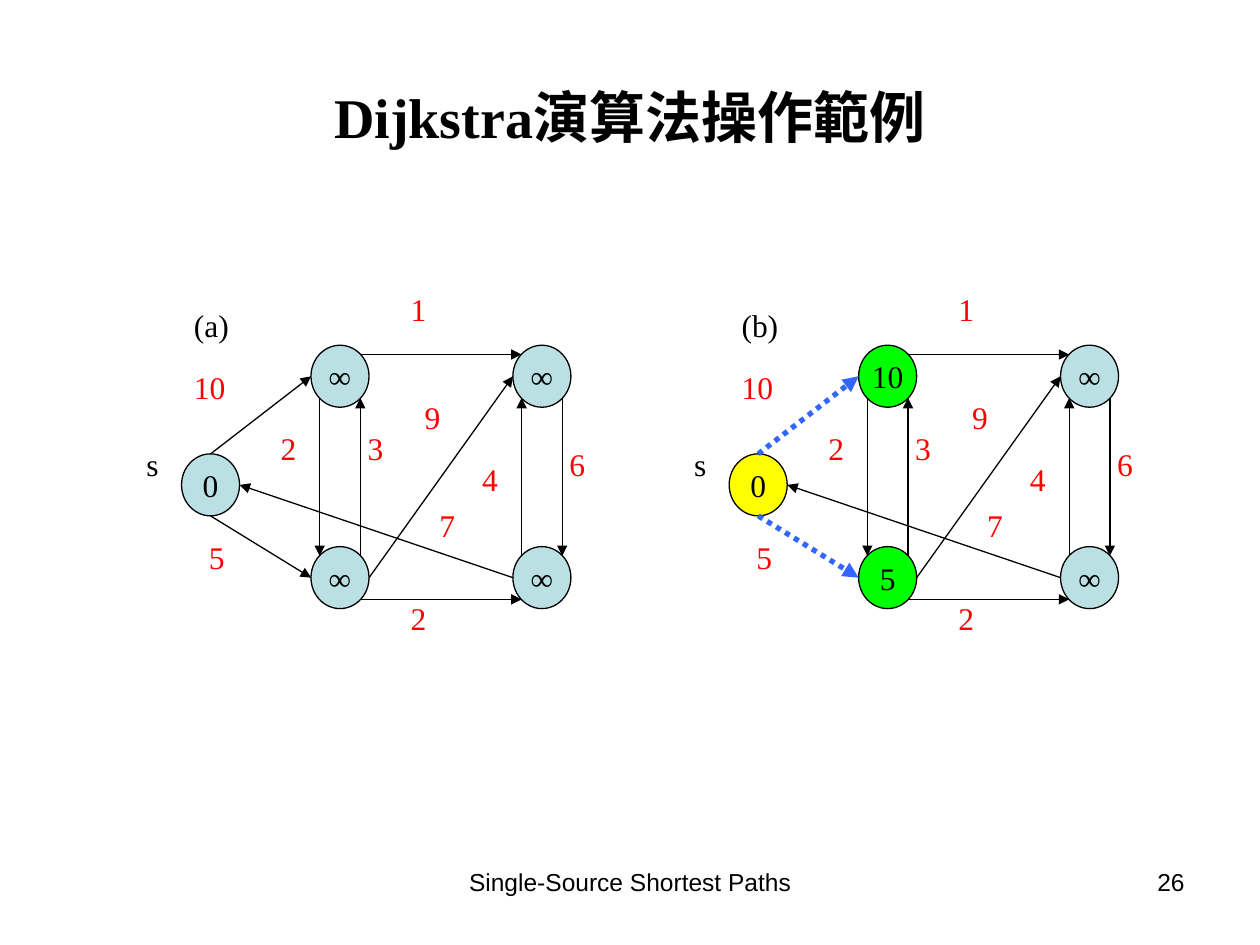
from lxml import etree
from pptx import Presentation
from pptx.dml.color import RGBColor
from pptx.enum.dml import MSO_LINE
from pptx.enum.shapes import MSO_CONNECTOR, MSO_SHAPE
from pptx.enum.text import MSO_ANCHOR, MSO_AUTO_SIZE, PP_ALIGN
from pptx.oxml.ns import qn
from pptx.util import Cm, Pt

LEFT, CENTER, RIGHT = PP_ALIGN.LEFT, PP_ALIGN.CENTER, PP_ALIGN.RIGHT
MIDDLE = MSO_ANCHOR.MIDDLE
NO_FIT = MSO_AUTO_SIZE.NONE
DOTTED = MSO_LINE.ROUND_DOT
OVAL = MSO_SHAPE.OVAL
STRAIGHT = MSO_CONNECTOR.STRAIGHT

COLORS = {
    "black": "000000",
    "weight": "FF0000",
    "route": "3366FF",
    "waiting": "BBE0E3",
    "source": "FFFF00",
    "reached": "00FF00",
}

# Graph layout in cm, measured for the first panel
PANEL_STEP = 11.04
NODE_W, NODE_H = 1.17, 1.25
COLUMNS, ROWS = (6.27, 10.34), (6.96, 11.02)
NODES = {
    "s": (3.66, 9.15),
    "t": (COLUMNS[0], ROWS[0]),
    "x": (COLUMNS[1], ROWS[0]),
    "y": (COLUMNS[0], ROWS[1]),
    "z": (COLUMNS[1], ROWS[1]),
}

# Points on a node's rim, as fractions of its width and height
SITES = {
    "n": (0.5, 0), "s": (0.5, 1), "w": (0, 0.5), "e": (1, 0.5),
    "nw": (0.15, 0.15), "ne": (0.85, 0.15),
    "sw": (0.15, 0.85), "se": (0.85, 0.85),
}

# Start node, start site, end node, end site, weight, weight position
EDGES = [
    ("s", "n", "t", "w", "10", (3.66, 7.29)),
    ("s", "s", "y", "w", "5", (3.96, 10.72)),
    ("t", "ne", "x", "nw", "1", (8.03, 5.72)),
    ("y", "se", "z", "sw", "2", (8.03, 11.96)),
    ("t", "sw", "y", "nw", "2", (5.41, 8.53)),
    ("y", "ne", "t", "se", "3", (7.16, 8.53)),
    ("x", "se", "z", "ne", "6", (11.23, 8.84)),
    ("z", "nw", "x", "sw", "4", (9.47, 9.14)),
    ("z", "w", "s", "e", "7", (8.61, 10.08)),
    ("y", "e", "x", "w", "9", (8.31, 7.9)),
]

# Caption, (distance, state) of each node, and edges on the current routes
PANELS = [
    ("(a)", {"s": ("0", "waiting")}, set()),
    ("(b)", {"s": ("0", "source"), "t": ("10", "reached"), "y": ("5", "reached")},
     {("s", "t"), ("s", "y")}),
]


def rgb(name):
    return RGBColor.from_string(COLORS[name])


class GraphSlide:
    font = "Times New Roman"
    size = 18

    def __init__(self, slide):
        self.slide = slide

    def set_text(self, frame, text, color="black", align=LEFT, size=None, font=None, bold=False):
        frame.text = text
        paragraph = frame.paragraphs[0]
        paragraph.alignment = align
        paragraph.font.name = font or self.font
        paragraph.font.size = Pt(size or self.size)
        paragraph.font.bold = bold
        paragraph.font.color.rgb = rgb(color)

    def title(self, text):
        heading = self.slide.shapes.title
        heading.left, heading.top = Cm(1.27), Cm(0.76)
        heading.width, heading.height = Cm(22.86), Cm(3.18)
        heading.text_frame.auto_size = NO_FIT
        heading.text_frame.vertical_anchor = MIDDLE
        self.set_text(heading.text_frame, text, align=CENTER, size=32, bold=True)

    def label(self, text, x, y, w=2.03, h=1.02, **style):
        frame = self.slide.shapes.add_textbox(Cm(x), Cm(y), Cm(w), Cm(h)).text_frame
        frame.word_wrap = True
        self.set_text(frame, text, **style)

    def node(self, text, x, y, state):
        circle = self.slide.shapes.add_shape(OVAL, Cm(x), Cm(y), Cm(NODE_W), Cm(NODE_H))
        circle.shadow.inherit = False
        circle.fill.solid()
        circle.fill.fore_color.rgb = rgb(state)
        circle.line.color.rgb = rgb("black")
        circle.line.width = Pt(0.75)
        circle.text_frame.word_wrap = False
        circle.text_frame.vertical_anchor = MIDDLE
        self.set_text(circle.text_frame, text, align=CENTER)

    def arrow(self, start, end, on_route):
        edge = self.slide.shapes.add_connector(STRAIGHT, *map(Cm, start + end))
        edge.line.color.rgb = rgb("route" if on_route else "black")
        edge.line.width = Pt(3 if on_route else 0.75)
        if on_route:
            edge.line.dash_style = DOTTED
        properties = edge._element.spPr
        etree.SubElement(properties.find(qn("a:ln")), qn("a:tailEnd"), type="triangle")
        etree.SubElement(properties, qn("a:effectLst"))

    def panel(self, caption, distances, routes, shift):
        def rim(node, site):
            (x, y), (across, down) = NODES[node], SITES[site]
            return (x + shift + across * NODE_W, y + down * NODE_H)

        for name, (x, y) in NODES.items():
            distance, state = distances.get(name, ("∞", "waiting"))
            self.node(distance, x + shift, y, state)
        for start, start_site, end, end_site, weight, (x, y) in EDGES:
            self.arrow(rim(start, start_site), rim(end, end_site), (start, end) in routes)
            self.label(weight, x + shift, y, color="weight")
        self.label(caption, 3.66 + shift, 6.05, w=2.62)
        self.label("s", 2.49 + shift, 8.84, w=1.17, align=CENTER)


def main():
    deck = Presentation()
    deck.slide_width, deck.slide_height = Cm(25.4), Cm(19.05)
    page = GraphSlide(deck.slides.add_slide(deck.slide_layouts[5]))

    page.title("Dijkstra演算法操作範例")

    # Graph before and after the first step
    for index, (caption, distances, routes) in enumerate(PANELS):
        page.panel(caption, distances, routes, index * PANEL_STEP)

    # Footer and page number
    footer = {"y": 17.35, "h": 1.32, "size": 14, "font": "Arial"}
    page.label("Single-Source Shortest Paths", 8.68, w=8.05, align=CENTER, **footer)
    page.label("26", 18.21, w=5.92, align=RIGHT, **footer)

    deck.save("out.pptx")


if __name__ == "__main__":
    main()
